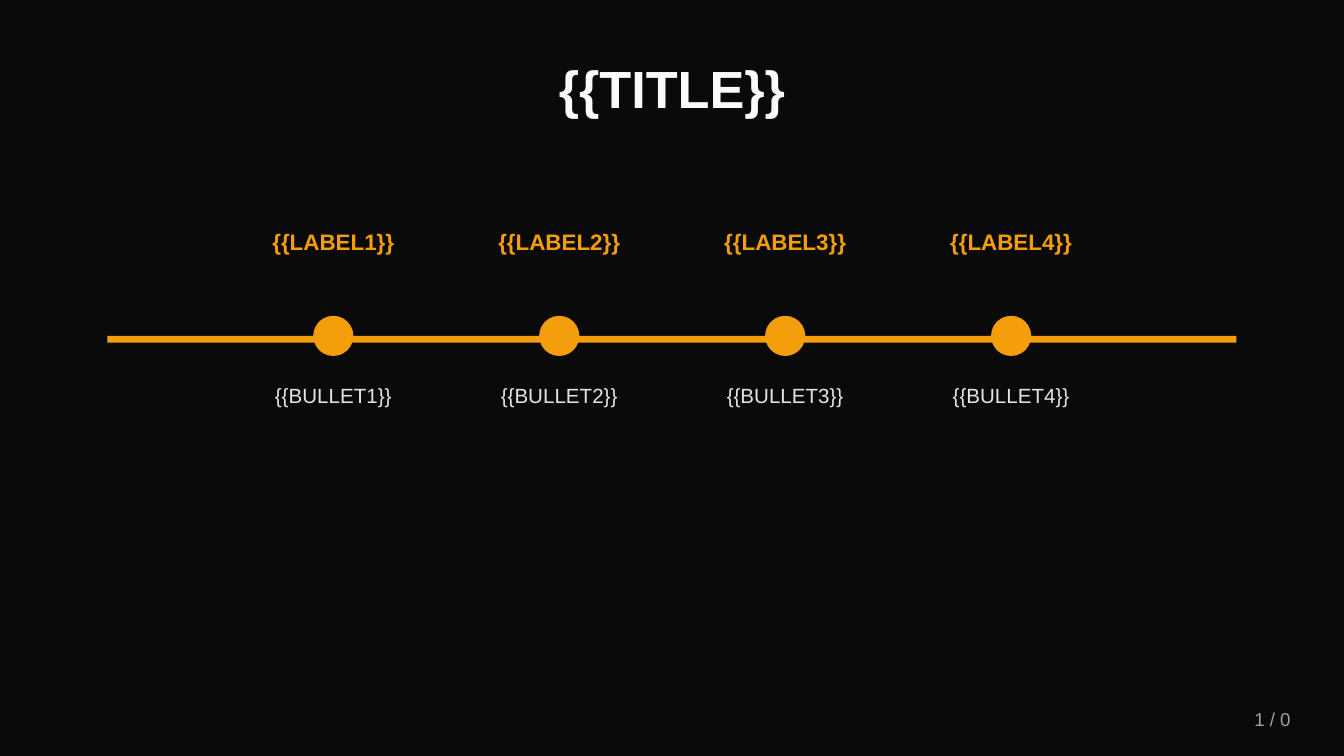
from pptx import Presentation
from pptx import util as u
from pptx.dml.color import RGBColor
from pptx.enum import shapes, text

BACKGROUND, ACCENT = "0A0A0B", "F59E0B"
WHITE, BODY, MUTED = "FAFAFA", "E4E4E7", "A1A1AA"
FIRST_CENTER, STEP = 6.3, 4.27
DOT, COLUMN = 0.76, 5.08


def paint(color_format, color):
    """Set a fill's or font's colour from a hex string."""
    color_format.rgb = RGBColor.from_string(color)


def write(box, wording, size, color, bold=False,
          align=text.PP_ALIGN.CENTER, anchor=text.MSO_ANCHOR.MIDDLE):
    """Put one formatted paragraph into a text-holding shape."""
    frame = box.text_frame
    frame.word_wrap = True
    frame.auto_size = text.MSO_AUTO_SIZE.NONE
    frame.vertical_anchor = anchor
    paragraph = frame.paragraphs[0]
    paragraph.text = wording
    paragraph.alignment = align
    font = paragraph.font
    font.name, font.size, font.bold = "Arial", u.Pt(size), bold
    paint(font.color, color)


def add_title(slide, wording):
    """Place and fill the title placeholder."""
    title = slide.shapes.title
    title.left, title.top = u.Cm(1.27), u.Cm(0.76)
    title.width, title.height = u.Cm(22.86), u.Cm(1.78)
    write(title, wording, 28, WHITE, bold=True)


def add_text(slide, left, top, width, height, *content, **style):
    """Add a text box measured in centimetres."""
    box = slide.shapes.add_textbox(*map(u.Cm, (left, top, width, height)))
    write(box, *content, **style)


def add_solid(slide, kind, left, top, width, height):
    """Add an accent-coloured shape without outline."""
    solid = slide.shapes.add_shape(kind, *map(u.Cm, (left, top, width, height)))
    solid.shadow.inherit = False
    solid.fill.solid()
    paint(solid.fill.fore_color, ACCENT)
    solid.line.fill.background()


def add_milestone(slide, number):
    """Add a dot on the timeline with its label and bullet."""
    center = FIRST_CENTER + (number - 1) * STEP
    left = center - COLUMN / 2
    add_solid(slide, shapes.MSO_SHAPE.OVAL, center - DOT / 2, 5.97, DOT, DOT)
    add_text(slide, left, 3.81, COLUMN, 1.52,
             f"{{{{LABEL{number}}}}}", 12, ACCENT, bold=True)
    add_text(slide, left, 7.11, COLUMN, 3.81,
             f"{{{{BULLET{number}}}}}", 11, BODY, anchor=text.MSO_ANCHOR.TOP)


def main():
    """Build the timeline slide and save it."""
    deck = Presentation()
    deck.slide_width, deck.slide_height = u.Cm(25.4), u.Cm(14.29)
    slide = deck.slides.add_slide(deck.slide_layouts[5])
    slide.background.fill.solid()
    paint(slide.background.fill.fore_color, BACKGROUND)

    add_title(slide, "{{TITLE}}")
    add_solid(slide, shapes.MSO_SHAPE.RECTANGLE, 2.03, 6.35, 21.34, 0.13)
    for number in range(1, 5):
        add_milestone(slide, number)
    add_text(slide, 21.59, 13.21, 3.05, 0.76, "1 / 0", 10, MUTED,
             align=text.PP_ALIGN.RIGHT)
    deck.save("out.pptx")


if __name__ == "__main__":
    main()
